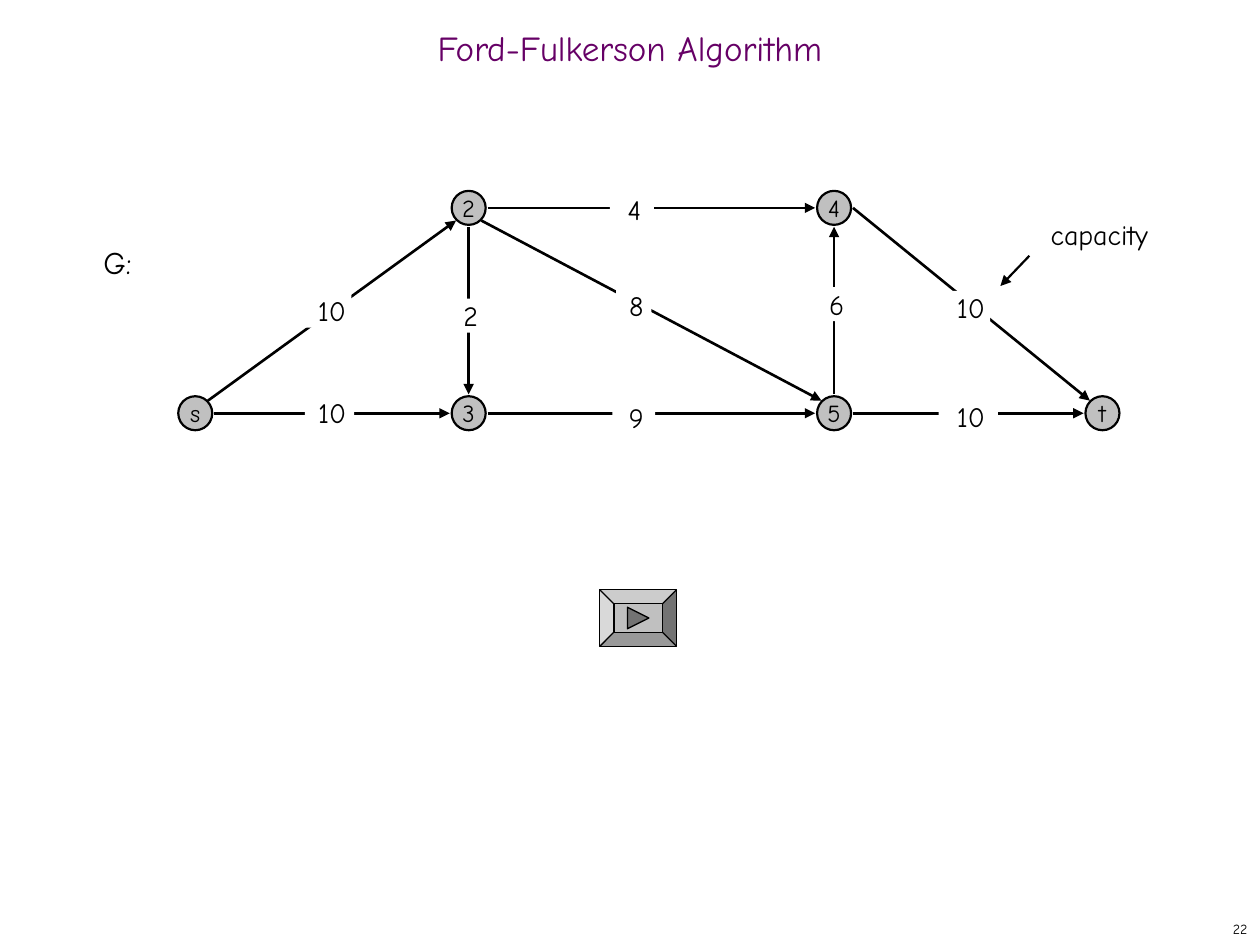
from pptx import Presentation
from pptx.dml.color import RGBColor
from pptx.enum.shapes import MSO_CONNECTOR, MSO_SHAPE
from pptx.enum.text import MSO_ANCHOR, PP_ALIGN
from pptx.oxml.ns import qn
from pptx.util import Inches, Pt
from lxml import etree

STRAIGHT = MSO_CONNECTOR.STRAIGHT
OVAL, BEVEL, TRIANGLE = MSO_SHAPE.OVAL, MSO_SHAPE.BEVEL, MSO_SHAPE.ISOSCELES_TRIANGLE
TOP, MIDDLE = MSO_ANCHOR.TOP, MSO_ANCHOR.MIDDLE
LEFT, CENTER, RIGHT = PP_ALIGN.LEFT, PP_ALIGN.CENTER, PP_ALIGN.RIGHT
FONT = "Comic Neue"
COLORS = {k: RGBColor.from_string(v) for k, v in {
    "title": "660066", "ink": "000000", "node": "C0C0C0",
    "paper": "FFFFFF", "play": "737373"}.items()}

prs = Presentation()
prs.slide_width, prs.slide_height = Inches(10), Inches(7.5)
s = prs.slides.add_slide(prs.slide_layouts[5])


def write(sp, text, size, color="ink", align=CENTER, anchor=TOP, margins=(0.1, 0.05), indent=0):
    tf = sp.text_frame
    tf.word_wrap = True
    tf.vertical_anchor = anchor
    tf.margin_left, tf.margin_right = Inches(margins[0] + indent), Inches(margins[0])
    tf.margin_top = tf.margin_bottom = Inches(margins[1])
    p = tf.paragraphs[0]
    p.alignment = align
    r = p.add_run()
    r.text = text
    r.font.name, r.font.size = FONT, Pt(size)
    r.font.color.rgb = COLORS[color]
    return tf


def arrow(start, end, width):
    c = s.shapes.add_connector(STRAIGHT, *(Inches(v) for v in (*start, *end)))
    c.line.color.rgb, c.line.width = COLORS["ink"], Pt(width)
    etree.SubElement(c.line._get_or_add_ln(), qn("a:tailEnd"), type="triangle")
    etree.SubElement(c._element.spPr, qn("a:effectLst"))


# Title
title = s.shapes.title
title.left, title.top = 0, Inches(0.17)
title.width, title.height = prs.slide_width, Inches(0.5)
write(title, "Ford-Fulkerson Algorithm", 20, "title", anchor=MIDDLE)
title.text_frame.paragraphs[0].line_spacing = 0.7

# Nodes: four columns, two rows
COLS, ROWS, SIZE = (1.55, 3.72, 6.62, 8.75), (1.65, 3.28), 0.27
nodes = {name: (COLS[col], ROWS[row]) for name, col, row in (
    ("s", 0, 1), ("2", 1, 0), ("3", 1, 1), ("4", 2, 0), ("5", 2, 1), ("t", 3, 1))}
for name, (x, y) in nodes.items():
    sp = s.shapes.add_shape(OVAL, Inches(x - SIZE / 2), Inches(y - SIZE / 2),
                            Inches(SIZE), Inches(SIZE))
    sp.shadow.inherit = False
    sp.fill.solid()
    sp.fill.fore_color.rgb = COLORS["node"]
    sp.line.color.rgb, sp.line.width = COLORS["ink"], Pt(1.25)
    write(sp, name, 14, anchor=MIDDLE).word_wrap = False

# Edges: each leaves and enters a node at a compass point
COMPASS = {"N": (0, -0.15), "S": (0, 0.15), "E": (0.15, 0), "W": (-0.15, 0),
           "NE": (0.1, -0.1), "SE": (0.1, 0.1), "NW": (-0.1, -0.1), "SW": (-0.1, 0.1)}
for tail, tail_side, head, head_side in (
        ("s", "NE", "2", "SW"), ("s", "E", "3", "W"), ("3", "E", "5", "W"),
        ("2", "E", "4", "W"), ("2", "S", "3", "N"), ("5", "N", "4", "S"),
        ("2", "SE", "5", "NW"), ("4", "E", "t", "NW"), ("5", "E", "t", "W")):
    start, end = ([a + b for a, b in zip(nodes[n], COMPASS[side])]
                  for n, side in ((tail, tail_side), (head, head_side)))
    arrow(start, end, 1.5)

# Capacities and graph name on white boxes that interrupt the edges
for text, x, y, w, h, size, align, indent in (
        ("10", 2.42, 3.14, 0.39, 0.27, 16, CENTER, 0.04),
        ("10", 2.33, 2.33, 0.46, 0.27, 16, CENTER, 0.15),
        ("9", 4.86, 3.18, 0.34, 0.27, 16, CENTER, 0.04),
        ("8", 4.89, 2.29, 0.28, 0.27, 16, CENTER, 0.04),
        ("4", 4.84, 1.53, 0.35, 0.27, 16, CENTER, 0.04),
        ("10", 7.45, 3.17, 0.47, 0.27, 16, CENTER, 0.04),
        ("10", 7.4, 2.31, 0.46, 0.27, 16, CENTER, 0.15),
        ("6", 6.39, 2.28, 0.46, 0.27, 16, CENTER, 0.04),
        ("2", 3.48, 2.37, 0.47, 0.27, 16, CENTER, 0.04),
        ("G:", 0.74, 1.93, 0.48, 0.3, 18, LEFT, 0.08)):
    sp = s.shapes.add_textbox(*(Inches(v) for v in (x, y, w, h)))
    sp.fill.solid()
    sp.fill.fore_color.rgb = COLORS["paper"]
    write(sp, text, size, align=align, margins=(0, 0), indent=indent)

# Capacity note
sp = s.shapes.add_textbox(Inches(8.11), Inches(1.68), Inches(1.23), Inches(0.37))
write(sp, "capacity", 16)
arrow((8.17, 2.03), (7.94, 2.27), 1.25)

# Play button
for kind, x, y, w, h, color, turn in ((BEVEL, 4.76, 4.68, 0.61, 0.45, "node", 0),
                                      (TRIANGLE, 4.98, 4.82, 0.17, 0.17, "play", 90)):
    sp = s.shapes.add_shape(kind, *(Inches(v) for v in (x, y, w, h)))
    sp.shadow.inherit = False
    sp.rotation = turn
    sp.fill.solid()
    sp.fill.fore_color.rgb = COLORS[color]
    sp.line.color.rgb, sp.line.width = COLORS["ink"], Pt(0.75)
    if kind == BEVEL:
        sp.adjustments[0] = 0.25

# Slide number
sp = s.shapes.add_textbox(Inches(7.92), Inches(7.25), Inches(2.08), Inches(0.25))
write(sp, "22", 8, align=RIGHT, anchor=MIDDLE)

prs.save("out.pptx")
